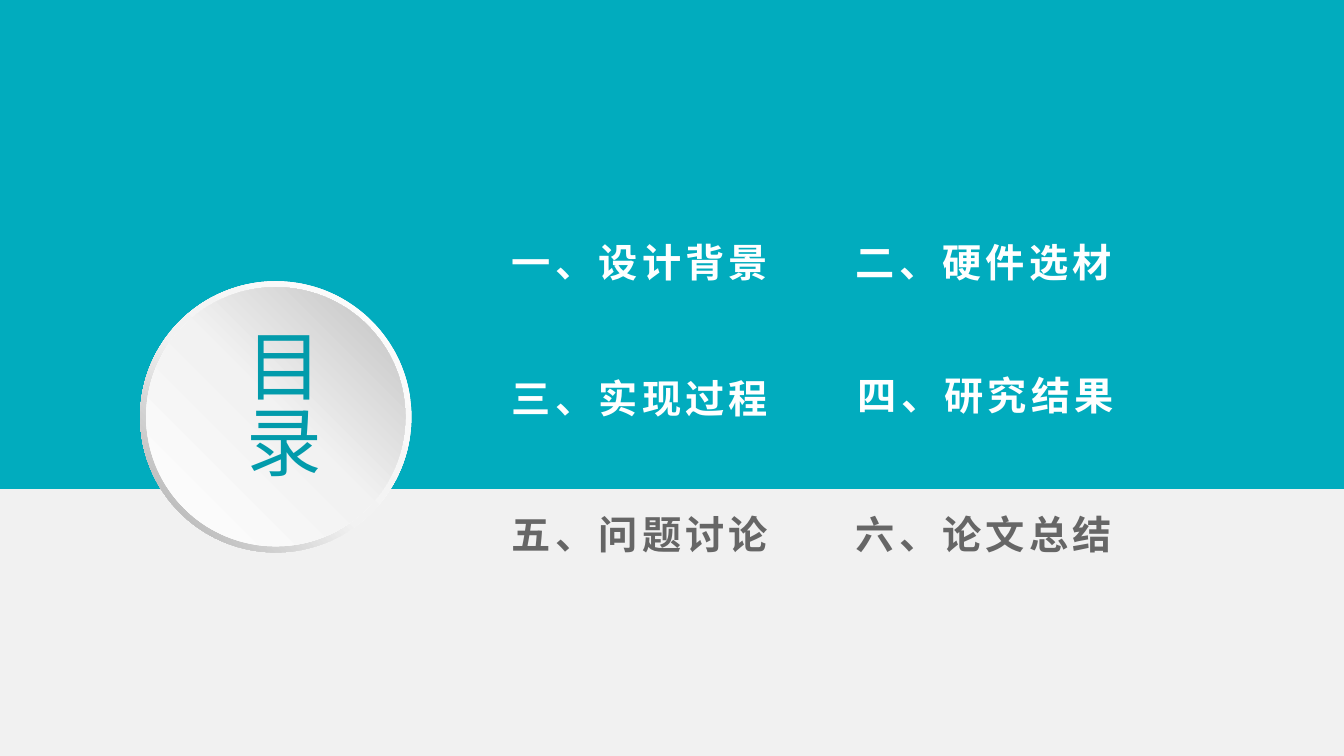
from copy import deepcopy

from pptx import Presentation
from pptx import util as u
from pptx.dml import color
from pptx.enum import shapes, text
from pptx.oxml import ns


def rgb(code):
    return color.RGBColor.from_string(code)


class Deck:
    """Hold the style and the current slide, and draw its elements."""

    font = "Noto Sans CJK SC"
    teal, ink, white, gray = "01ACBE", "029BAB", "FFFFFF", "666666"
    back = "F1F1F1"

    def __init__(self):
        self.prs = Presentation()
        self.prs.slide_width = u.Inches(13.33)
        self.prs.slide_height = u.Inches(7.5)
        self.slide = self.prs.slides.add_slide(self.prs.slide_layouts[6])
        fill = self.slide.background.fill
        fill.solid()
        fill.fore_color.rgb = rgb(self.back)

    def shape(self, kind, *box):
        item = self.slide.shapes.add_shape(kind, *map(u.Inches, box))
        item.shadow.inherit = False
        item.line.fill.background()
        return item

    def band(self, *box):
        fill = self.shape(shapes.MSO_SHAPE.RECTANGLE, *box).fill
        fill.solid()
        fill.fore_color.rgb = rgb(self.teal)

    def disc(self, kind, left, top, size, stops, angle):
        item = self.shape(kind, left, top, size, size)
        item.fill.gradient()
        item.fill.gradient_angle = angle
        first = item.element.find(".//" + ns.qn("a:gs"))
        first.addnext(deepcopy(first))
        for stop, (place, code) in zip(item.fill.gradient_stops, stops):
            stop.position = place
            stop.color.rgb = rgb(code)
        return item

    def label(self, words, box, size, code, bold=False, gap=0):
        frame = self.slide.shapes.add_textbox(*map(u.Inches, box)).text_frame
        frame.word_wrap = True
        frame.auto_size = text.MSO_AUTO_SIZE.SHAPE_TO_FIT_TEXT
        frame.text = words
        run = frame.paragraphs[0].runs[0]
        run.font.size = u.Pt(size)
        run.font.bold = bold
        run.font.color.rgb = rgb(code)
        run.font.name = self.font
        props = run.font._element
        east = props.makeelement(ns.qn("a:ea"), {"typeface": self.font})
        props.find(ns.qn("a:latin")).addnext(east)
        if gap:
            props.set("spc", str(gap * 100))
        return frame


def main():
    deck = Deck()
    deck.band(0, 0, 13.33, 4.85)

    ring = deck.disc(shapes.MSO_SHAPE.DONUT, 1.39, 2.79, 2.69,
                     [(0, "FFFFFF"), (0.55, "F2F2F2"), (1, "A6A6A6")], 225)
    ring.adjustments[0] = 0.049
    deck.disc(shapes.MSO_SHAPE.OVAL, 1.45, 2.85, 2.57,
              [(0, "FFFFFF"), (0.51, "F2F2F2"), (1, "BFBFBF")], 45)

    title = deck.label("目录", (2.18, 3.16, 1.11, 1.85), 54, deck.ink)
    title.paragraphs[0].alignment = text.PP_ALIGN.JUSTIFY
    title._txBody.bodyPr.set("vert", "eaVert")

    topics = [
        ("一、设计背景", 4.98, 2.32, deck.white),
        ("二、硬件选材", 8.39, 2.32, deck.white),
        ("三、实现过程", 4.98, 3.66, deck.white),
        ("四、研究结果", 8.41, 3.63, deck.white),
        ("五、问题讨论", 4.98, 5.01, deck.gray),
        ("六、论文总结", 8.39, 5.01, deck.gray),
    ]
    for words, left, top, code in topics:
        deck.label(words, (left, top, 3.04, 0.57), 28, code, True, 3)

    deck.prs.save("out.pptx")


if __name__ == "__main__":
    main()
